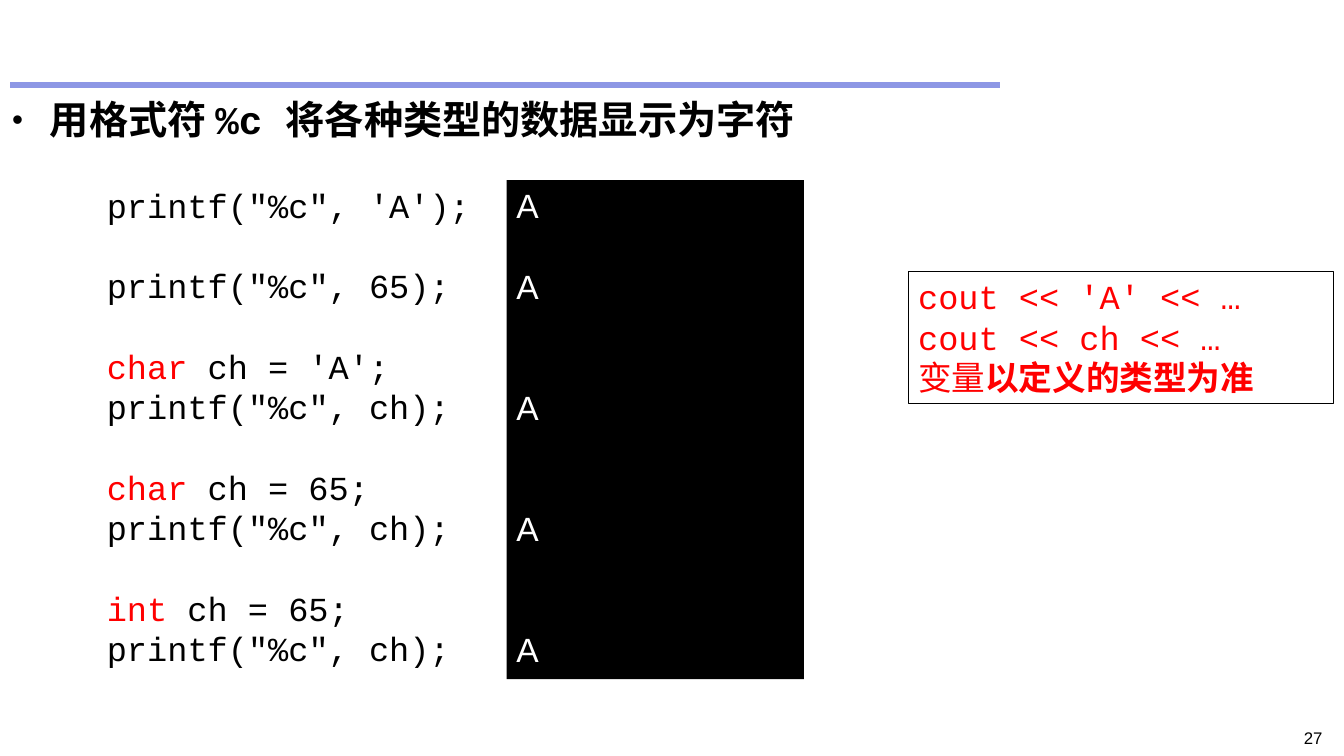
from dataclasses import dataclass
from lxml import etree
from pptx import Presentation
from pptx.dml.color import RGBColor
from pptx.enum.shapes import MSO_CONNECTOR, MSO_SHAPE
from pptx.enum.text import MSO_ANCHOR, MSO_AUTO_SIZE, PP_ALIGN
from pptx.oxml.ns import qn
from pptx.util import Pt

LINE = MSO_CONNECTOR.STRAIGHT
RECT = MSO_SHAPE.RECTANGLE
TOP = MSO_ANCHOR.TOP
FIXED = MSO_AUTO_SIZE.NONE
LEFT, RIGHT = PP_ALIGN.LEFT, PP_ALIGN.RIGHT


@dataclass(frozen=True)
class Theme:
    """Hold the colours, fonts and sizes of the slide."""
    ink: str = "000000"
    paper: str = "FFFFFF"
    red: str = "FF0000"
    rule: str = "8D97E5"
    mono: str = "Courier New"
    sans: str = "Arial"
    head: int = 28
    text: int = 24
    small: int = 12
    pitch: float = 28.8


LOOK = Theme()
PRINT = 'printf("%c", '
CODE = [
    [("", PRINT + "'A');")],
    [("", PRINT + "65);")],
    [("char ", "ch = 'A';"), ("", PRINT + "ch);")],
    [("char ", "ch = 65;"), ("", PRINT + "ch);")],
    [("int ", "ch = 65;"), ("", PRINT + "ch);")],
]
NOTE = [
    [("cout << 'A' << …", False)],
    [("cout << ch << …", False)],
    [("变量", False), ("以定义的类型为准", True)],
]


def add_run(para, text, size, color, font, bold=False):
    """Add one styled run to a paragraph."""
    run = para.add_run()
    run.text = text
    run.font.size = Pt(size)
    run.font.name = font
    run.font.bold = bold
    run.font.color.rgb = RGBColor.from_string(color)


def set_frame(frame, x=7.2, y=3.6):
    """Set wrapping, anchor and margins of a text frame."""
    frame.word_wrap = True
    frame.auto_size = FIXED
    frame.vertical_anchor = TOP
    frame.margin_left = frame.margin_right = Pt(x)
    frame.margin_top = frame.margin_bottom = Pt(y)
    return frame


def add_para(frame, first, skip=0):
    """Return the next paragraph, set below a number of skipped lines."""
    para = frame.paragraphs[0] if first else frame.add_paragraph()
    para.alignment = LEFT
    para.line_spacing = Pt(LOOK.pitch)
    para.space_before = Pt(skip * LOOK.pitch)
    return para


def add_text(slide, *box):
    """Add a text box and return its frame."""
    return set_frame(slide.shapes.add_textbox(*map(Pt, box)).text_frame)


def add_box(slide, *box, fill=None):
    """Add a rectangle, filled or outlined, and return its frame."""
    shape = slide.shapes.add_shape(RECT, *map(Pt, box))
    shape.shadow.inherit = False
    if fill:
        shape.fill.solid()
        shape.fill.fore_color.rgb = RGBColor.from_string(fill)
        shape.line.fill.background()
    else:
        shape.fill.background()
        shape.line.color.rgb = RGBColor.from_string(LOOK.ink)
        shape.line.width = Pt(0.75)
    return set_frame(shape.text_frame)


def add_rule(slide, *ends):
    """Add the coloured rule at the top."""
    rule = slide.shapes.add_connector(LINE, *map(Pt, ends))
    rule.line.color.rgb = RGBColor.from_string(LOOK.rule)
    rule.line.width = Pt(4.5)
    etree.SubElement(rule._element.spPr, qn("a:effectLst"))


def fill_body(slide, text, *box):
    """Move the body placeholder and write its bullet."""
    body = slide.placeholders[1]
    body.left, body.top, body.width, body.height = map(Pt, box)
    para = set_frame(body.text_frame, 1.44, 0.72).paragraphs[0]
    para.space_before = Pt(5.6)
    props = para._p.get_or_add_pPr()
    props.set("marL", str(Pt(27)))
    props.set("indent", str(Pt(-27)))
    etree.SubElement(props, qn("a:buSzPct"), val="80000")
    etree.SubElement(props, qn("a:buFont"), typeface=LOOK.sans)
    etree.SubElement(props, qn("a:buChar"), char="•")
    add_run(para, text, LOOK.head, LOOK.ink, LOOK.mono, True)


def add_code(slide):
    """Add the code groups and the output of each."""
    code = add_text(slide, 54.7, 128.2, 841, 356.4)
    code.margin_left = Pt(21.6)
    out = add_box(slide, 361.8, 128.7, 212.4, 356.4, fill=LOOK.ink)
    for g, group in enumerate(CODE):
        for n, (key, rest) in enumerate(group):
            para = add_para(code, g == n == 0, int(g > 0 and n == 0))
            if key:
                add_run(para, key, LOOK.text, LOOK.red, LOOK.mono)
            add_run(para, rest, LOOK.text, LOOK.ink, LOOK.mono)
        para = add_para(out, g == 0, len(group) if g else 0)
        add_run(para, "A", LOOK.text, LOOK.paper, LOOK.sans)


def add_note(slide):
    """Add the framed note on the right."""
    frame = add_box(slide, 648.7, 193.7, 303.8, 94.3)
    for n, runs in enumerate(NOTE):
        para = add_para(frame, n == 0)
        for text, bold in runs:
            add_run(para, text, LOOK.text, LOOK.red, LOOK.mono, bold)


def add_page(slide, text):
    """Add the page number."""
    para = add_text(slide, 857.5, 516.2, 94.3, 18).paragraphs[0]
    para.alignment = RIGHT
    add_run(para, text, LOOK.small, LOOK.ink, LOOK.sans)


def main():
    """Build and save the slide."""
    deck = Presentation()
    deck.slide_width, deck.slide_height = Pt(960), Pt(540)
    slide = deck.slides.add_slide(deck.slide_layouts[1])
    title = slide.shapes.title.element
    title.getparent().remove(title)
    add_rule(slide, 7.2, 60.5, 714.2, 60.5)
    fill_body(slide, "用格式符 %c 将各种类型的数据显示为字符", 7.2, 67.7, 944.6, 468.7)
    add_code(slide)
    add_page(slide, "27")
    add_note(slide)
    deck.save("out.pptx")


if __name__ == "__main__":
    main()
